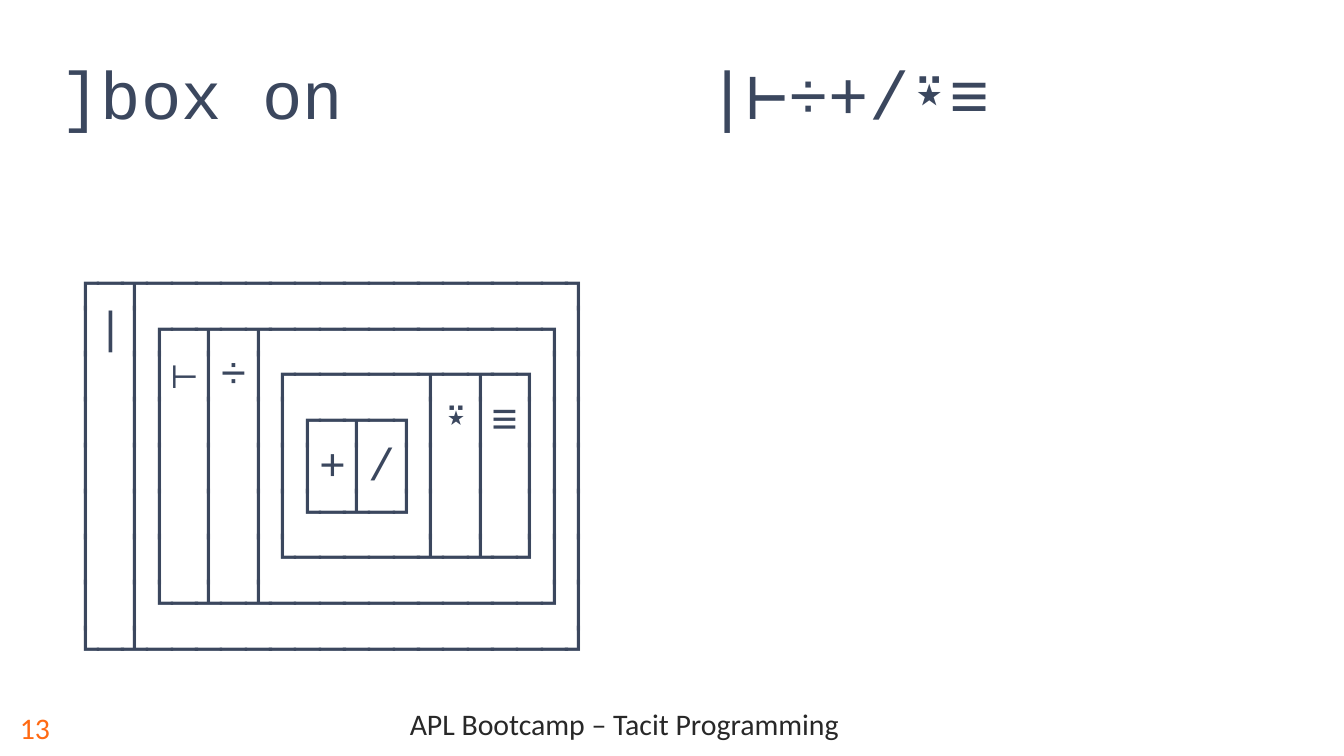
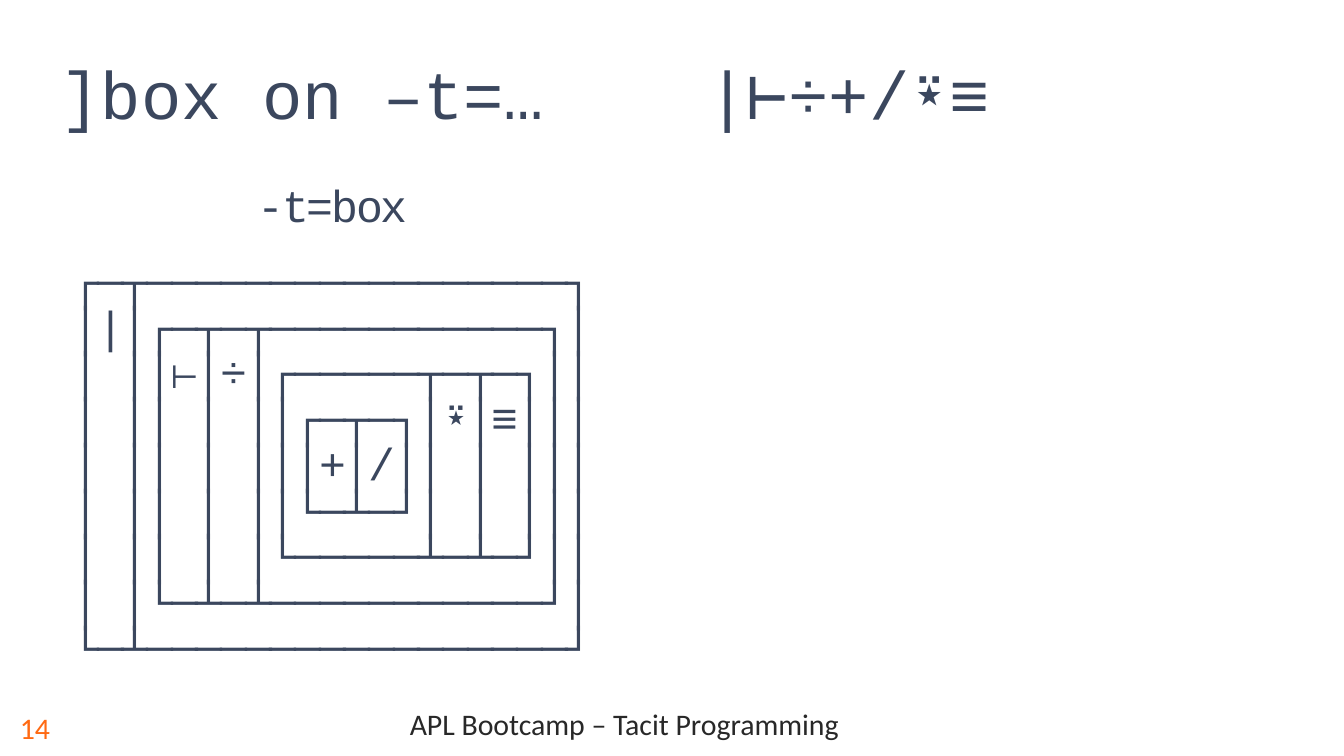
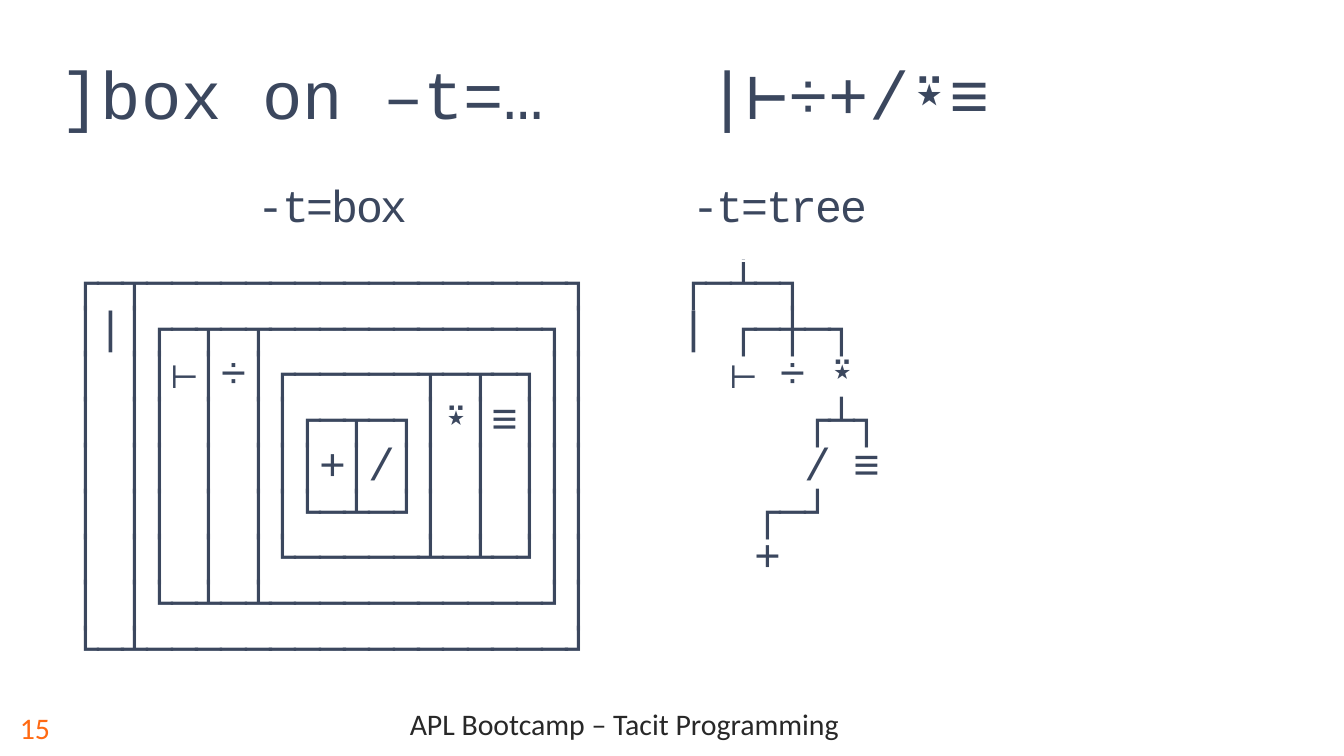
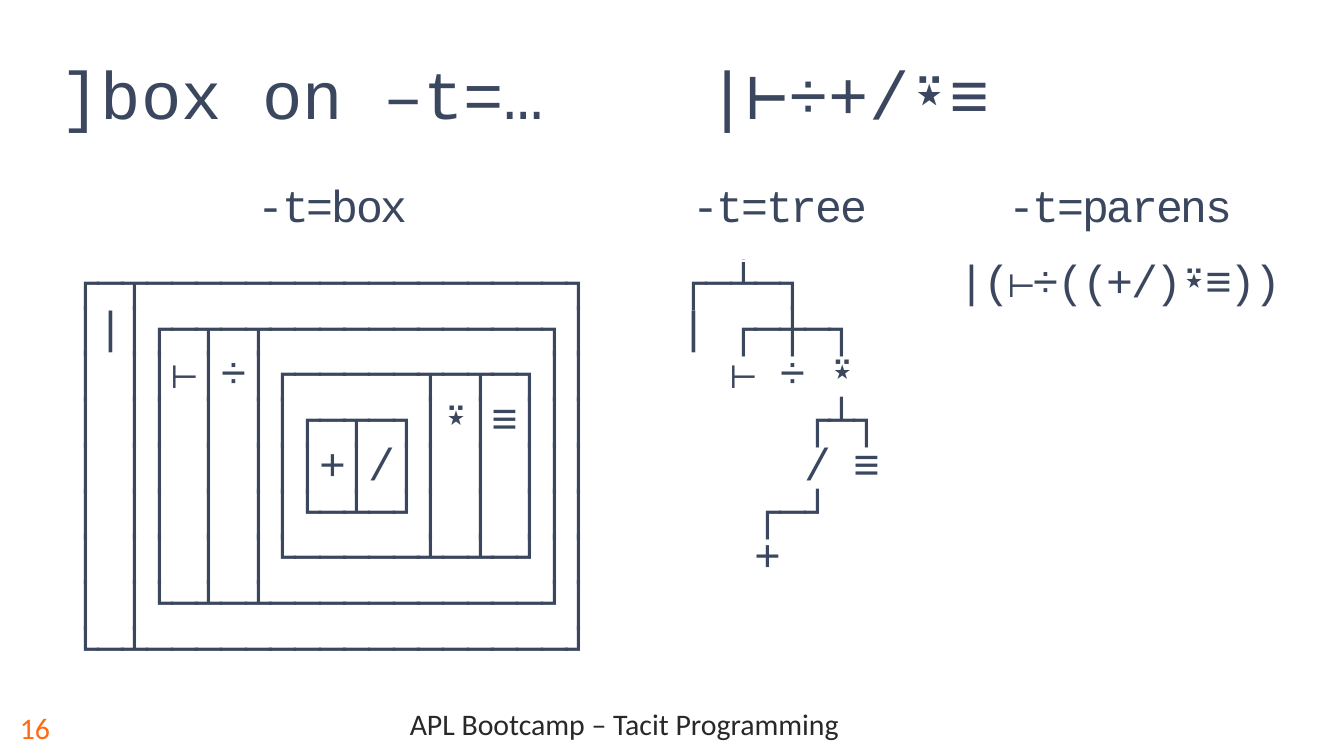
from lxml import etree
from pptx import Presentation
from pptx.dml.color import RGBColor
from pptx.enum.text import MSO_ANCHOR, MSO_AUTO_SIZE, PP_ALIGN
from pptx.oxml.ns import qn
from pptx.util import Pt

LEFT, CENTER = PP_ALIGN.LEFT, PP_ALIGN.CENTER
MIDDLE, BOTTOM = MSO_ANCHOR.MIDDLE, MSO_ANCHOR.BOTTOM
NO_FIT = MSO_AUTO_SIZE.NONE

# Shared look
NAVY, INK, ORANGE = "3B475E", "282828", "FF6A13"
TITLE_FONT = {"name": "Courier New", "size": Pt(36)}
CODE_FONT = {"name": "Courier New", "size": Pt(24)}
FOOTER_FONT = {"name": "Calibri", "size": Pt(16)}
CODE_TRACKING = "-120"
TITLE_TAB = Pt(536.4)
FOOTER_TOP, FOOTER_HEIGHT = 373.7, 31.7

# Table grid
COLUMN_WIDTHS = [306, 172.8, 192.2]
ROW_HEIGHTS = [40.3, 208.8]
TREE_INDENT = 20.4

# Content
EXPRESSION = "|⊢÷+/⍣≡"
BOX = """\
┌─┬─────────────────┐
│|│┌─┬─┬───────────┐│
│ ││⊢│÷│┌─────┬─┬─┐││
│ ││ │ ││┌─┬─┐│⍣│≡│││
│ ││ │ │││+│/││ │ │││
│ ││ │ ││└─┴─┘│ │ │││
│ ││ │ │└─────┴─┴─┘││
│ │└─┴─┴───────────┘│
└─┴─────────────────┘"""
TREE = """\
 ┌─┴─┐
 | ┌─┼─┐
   ⊢ ÷ ⍣
      ┌┴┐
      / ≡
    ┌─┘
    +"""
PARENS = "|(⊢÷((+/)⍣≡))"
LABELS = ["-t=box", "-t=tree", "-t=parens"]
DRAWINGS = [BOX, TREE, PARENS]

# Heading, labels shown, drawings shown
PAGES = [
    ("]box on", 0, 1),
    ("]box on –t=…", 1, 1),
    ("]box on –t=…", 2, 2),
    ("]box on –t=…", 3, 3),
]


def color(value):
    return RGBColor.from_string(value)


def write(frame, text, font, ink, align=LEFT, spacing=1.0, tracking=None, tab=None):
    for index, line in enumerate(text.split("\n")):
        para = frame.add_paragraph() if index else frame.paragraphs[0]
        para.alignment, para.line_spacing = align, spacing
        if tab:
            tabs = etree.SubElement(para._p.get_or_add_pPr(), qn("a:tabLst"))
            etree.SubElement(tabs, qn("a:tab"), pos=str(tab), algn="r")
        span = para.add_run()
        span.text = line
        for name, value in font.items():
            setattr(span.font, name, value)
        span.font.color.rgb = color(ink)
        if tracking:
            span._r.get_or_add_rPr().set("spc", tracking)


deck = Presentation()
deck.slide_width, deck.slide_height = Pt(720), Pt(405)
title_only = deck.slide_layouts[5]

for number, (heading, label_count, drawing_count) in enumerate(PAGES, start=13):
    page = deck.slides.add_slide(title_only)

    # Footer and page number
    for left, width, text, ink, align, spacing in [
        (56.2, 556.6, "APL Bootcamp – Tacit Programming", INK, CENTER, 0.8),
        (3.6, 52.6, str(number), ORANGE, LEFT, 1.0),
    ]:
        box = page.shapes.add_textbox(Pt(left), Pt(FOOTER_TOP), Pt(width), Pt(FOOTER_HEIGHT))
        box.text_frame.word_wrap = True
        box.text_frame.vertical_anchor = MIDDLE
        write(box.text_frame, text, FOOTER_FONT, ink, align, spacing)

    # Title with the expression at a right tab
    title = page.shapes.title
    title.left, title.top, title.width, title.height = Pt(25.2), Pt(20.9), Pt(512.6), Pt(54)
    frame = title.text_frame
    frame.word_wrap, frame.auto_size, frame.vertical_anchor = True, NO_FIT, BOTTOM
    write(frame, f"{heading}\t{EXPRESSION}", TITLE_FONT, NAVY, tab=TITLE_TAB)

    # Table of display styles
    holder = page.shapes.add_table(2, 3, Pt(25.2), Pt(99.4), Pt(671), Pt(273.6))
    table = holder.table
    table.first_row = table.horz_banding = False
    for column, width in zip(table.columns, COLUMN_WIDTHS):
        column.width = Pt(width)
    for row, height in zip(table.rows, ROW_HEIGHTS):
        row.height = Pt(height)
    holder.height = Pt(273.6)
    for cell in table.iter_cells():
        cell.fill.background()

    # Labels above, drawings below
    for row, (texts, count) in enumerate([(LABELS, label_count), (DRAWINGS, drawing_count)]):
        for column, text in enumerate(texts[:count]):
            cell = table.cell(row, column)
            is_tree = text == TREE
            cell.margin_left = Pt(TREE_INDENT if is_tree else 0)
            cell.margin_right = cell.margin_top = cell.margin_bottom = 0
            write(cell.text_frame, text, CODE_FONT, NAVY, LEFT if is_tree else CENTER,
                  0.9, CODE_TRACKING)

deck.save("out.pptx")
